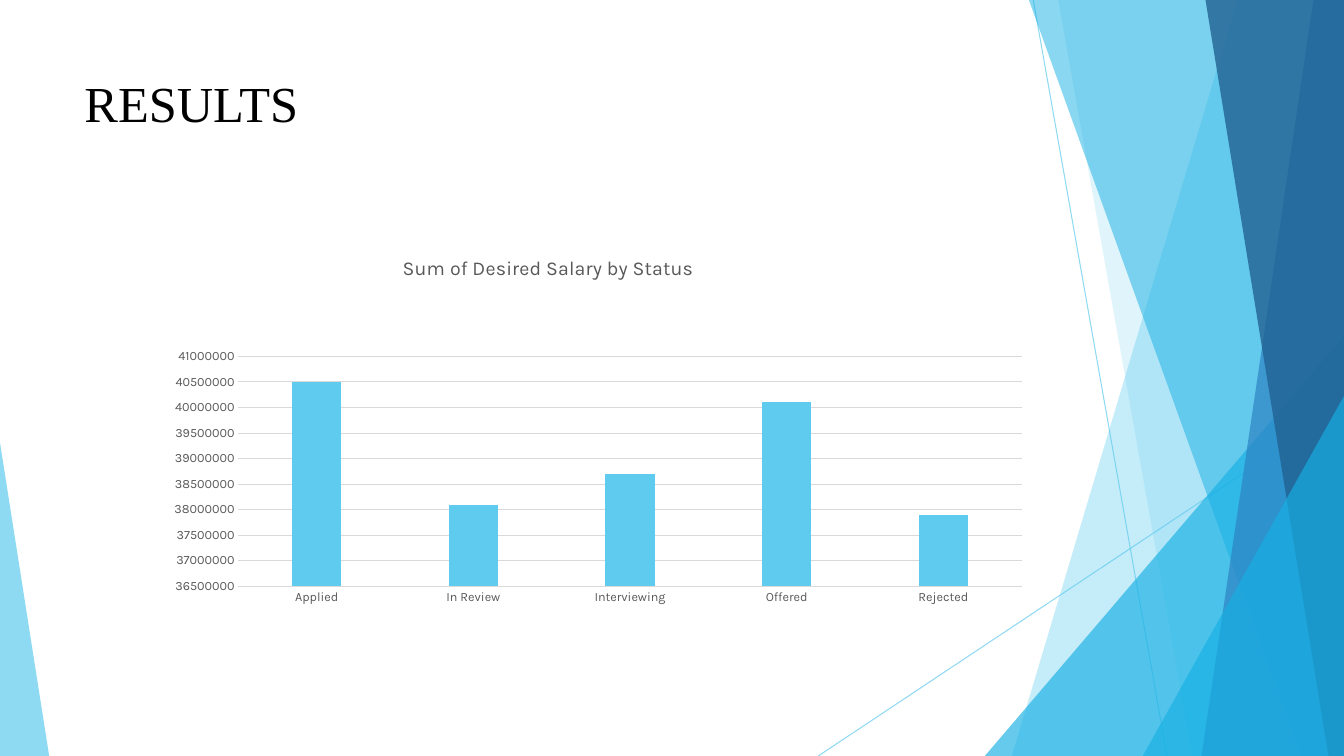
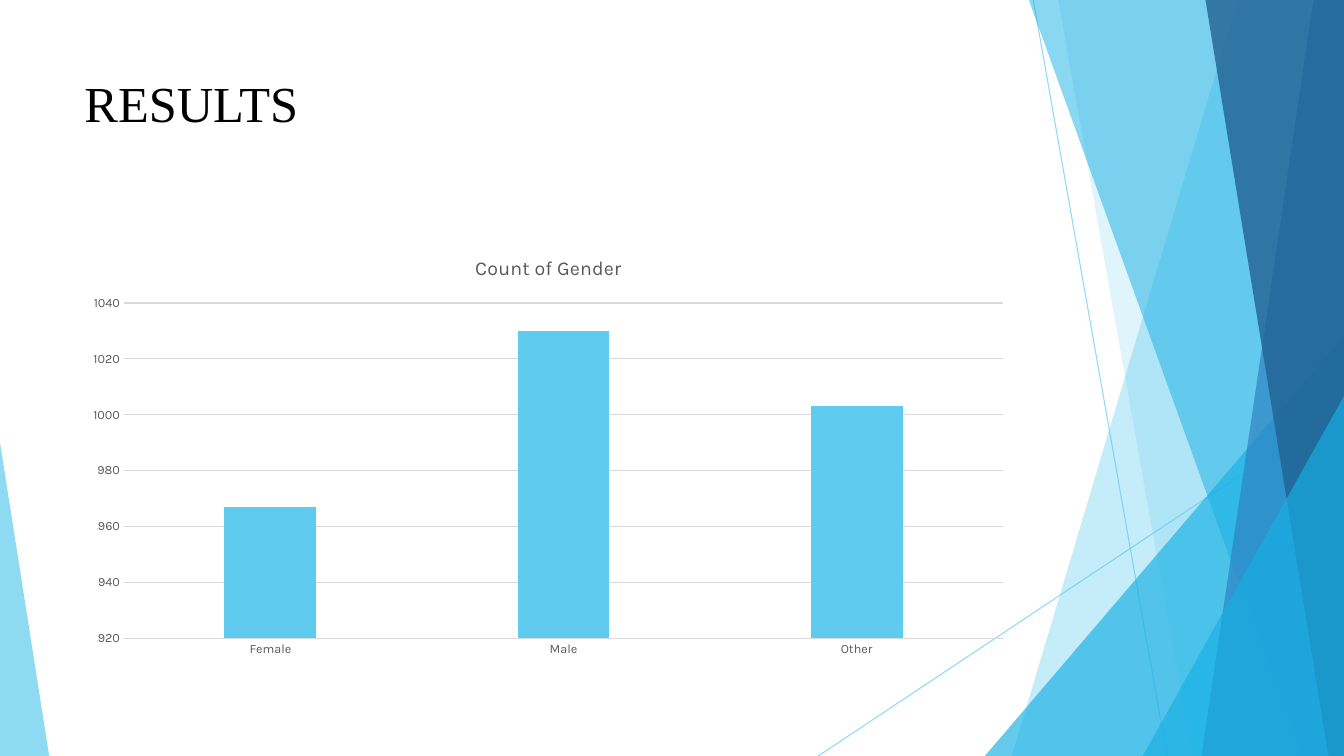
from lxml import etree
from pptx import Presentation
from pptx import util as u
from pptx.chart import data as chart_data
from pptx.dml.color import RGBColor
from pptx.enum import chart as chart_enum, shapes, text
from pptx.oxml.ns import qn

SKY = RGBColor(0x5F, 0xCB, 0xEF)
AZURE = RGBColor(0x17, 0xB0, 0xE4)
BLUE = RGBColor(0x2E, 0x83, 0xC3)
NAVY = RGBColor(0x22, 0x62, 0x92)
BLACK = RGBColor(0x00, 0x00, 0x00)
GREY = RGBColor(0x59, 0x59, 0x59)
PALE_GREY = RGBColor(0xD9, 0xD9, 0xD9)

WIDTH, HEIGHT = 33.87, 19.05
LEFT, CONTENT_WIDTH = 1.88, 23.88

LINES = [(26.04, 0, 29.41, HEIGHT), (WIDTH, 10.24, 20.62, HEIGHT)]
FACETS = [
    ("band", (31.19, 25.5), SKY, 36),
    ("band", (26.67, 30.05), SKY, 20),
    ("triangle", (24.82, 8.46, 9.05, 1), AZURE, 66),
    ("band", (25.93, 32.79), AZURE, 50),
    ("band", (33.1, 30.28), BLUE, 70),
    ("band", (30.38, 33.48), NAVY, 80),
    ("triangle", (28.8, 9.98, 5.07, 1), AZURE, 66),
    ("triangle", (0, 11.15, 1.24, 0), SKY, 70),
]
CHARTS = [
    {
        "title": "Sum of Desired Salary by Status",
        "values": {"Applied": 40500000, "In Review": 38100000, "Interviewing": 38700000,
                   "Offered": 40100000, "Rejected": 37900000},
        "scale": {"minimum_scale": 36500000, "maximum_scale": 41000000, "major_unit": 500000},
        "layout": {"x": 0.173, "y": 0.277, "w": 0.827, "h": 0.538},
    },
    {
        "title": "Count of Gender",
        "values": {"Female": 967, "Male": 1030, "Other": 1003},
        "scale": {"minimum_scale": 920, "maximum_scale": 1040, "major_unit": 20},
        "layout": {"x": 0.052, "y": 0.152, "w": 0.928, "h": 0.785},
    },
]


def apply_format(target, values):
    for name, value in values.items():
        if name == "rgb":
            target.color.rgb = value
        else:
            setattr(target, name, value)


def set_opacity(shape, percent):
    for color in shape.element.iter(qn("a:srgbClr")):
        etree.SubElement(color, qn("a:alpha")).set("val", str(percent * 1000))


presentation = Presentation()
apply_format(presentation, {"slide_width": u.Cm(WIDTH), "slide_height": u.Cm(HEIGHT)})
layout = presentation.slide_layouts[6]
for placeholder in list(layout.placeholders):
    layout.shapes.element.remove(placeholder.element)
slides = [presentation.slides.add_slide(layout) for chart_values in CHARTS]

canvas = slides[0].shapes
for ends in LINES:
    connector = canvas.add_connector(shapes.MSO_CONNECTOR.STRAIGHT, *map(u.Cm, ends))
    apply_format(connector.line, {"rgb": SKY, "width": u.Pt(0.75)})
    set_opacity(connector, 70)
    etree.SubElement(connector.element.spPr, qn("a:effectLst"))

for kind, geometry, color, opacity in FACETS:
    if kind == "band":
        top_x, bottom_x = map(u.Cm, geometry)
        right, bottom = u.Cm(WIDTH), u.Cm(HEIGHT)
        builder = canvas.build_freeform(top_x, 0)
        builder.add_line_segments([(right, 0), (right, bottom), (bottom_x, bottom)], close=True)
        shape = builder.convert_to_shape()
    else:
        left, top, width, apex = geometry
        shape = canvas.add_shape(
            shapes.MSO_SHAPE.ISOSCELES_TRIANGLE,
            u.Cm(left), u.Cm(top), u.Cm(width), u.Cm(HEIGHT - top),
        )
        shape.adjustments[0] = apex
    shape.shadow.inherit = False
    shape.fill.solid()
    shape.fill.fore_color.rgb = color
    shape.line.fill.background()
    set_opacity(shape, opacity)

for shape in list(canvas):
    layout.shapes.element.append(shape.element)

for slide, chart_values in zip(slides, CHARTS):
    title = slide.shapes.add_textbox(u.Cm(LEFT), u.Cm(1.7), u.Cm(CONTENT_WIDTH), u.Cm(3.66))
    apply_format(title.text_frame, {"word_wrap": True, "vertical_anchor": text.MSO_ANCHOR.TOP})
    run = title.text_frame.paragraphs[0].add_run()
    run.text = "RESULTS"
    apply_format(run.font, {"name": "Times New Roman", "size": u.Pt(36), "rgb": BLACK})

    data = chart_data.CategoryChartData()
    data.categories = list(chart_values["values"])
    data.add_series("Series 1", list(chart_values["values"].values()))
    chart = slide.shapes.add_chart(
        chart_enum.XL_CHART_TYPE.COLUMN_CLUSTERED,
        u.Cm(LEFT), u.Cm(6), u.Cm(CONTENT_WIDTH), u.Cm(10.77), data,
    ).chart
    apply_format(chart, {"has_legend": False, "has_title": True})
    apply_format(chart.font, {"name": "Karla", "size": u.Pt(10), "rgb": BLACK})

    run = chart.chart_title.text_frame.paragraphs[0].add_run()
    run.text = chart_values["title"]
    apply_format(run.font, {"name": "Karla", "size": u.Pt(14), "bold": False, "rgb": GREY})

    plot = chart.plots[0]
    apply_format(plot, {"gap_width": 219, "overlap": -27, "vary_by_categories": False})
    series = plot.series[0]
    series.invert_if_negative = False
    series.format.fill.solid()
    series.format.fill.fore_color.rgb = SKY

    for axis in (chart.category_axis, chart.value_axis):
        apply_format(axis, {
            "major_tick_mark": chart_enum.XL_TICK_MARK.NONE,
            "minor_tick_mark": chart_enum.XL_TICK_MARK.NONE,
        })
        apply_format(axis.tick_labels.font, {"name": "Karla", "size": u.Pt(9), "rgb": GREY})
    apply_format(chart.value_axis, chart_values["scale"])
    chart.value_axis.format.line.fill.background()
    for line in (chart.category_axis.format.line, chart.value_axis.major_gridlines.format.line):
        apply_format(line, {"rgb": PALE_GREY, "width": u.Pt(0.75)})

    plot_area = chart.element.find(".//" + qn("c:plotArea"))
    for automatic in plot_area.findall(qn("c:layout")):
        plot_area.remove(automatic)
    plot_layout = etree.Element(qn("c:layout"))
    manual = etree.SubElement(plot_layout, qn("c:manualLayout"))
    settings = {"layoutTarget": "inner", "xMode": "edge", "yMode": "edge", **chart_values["layout"]}
    for name, value in settings.items():
        etree.SubElement(manual, qn("c:" + name)).set("val", str(value))
    plot_area.insert(0, plot_layout)

presentation.save("out.pptx")
